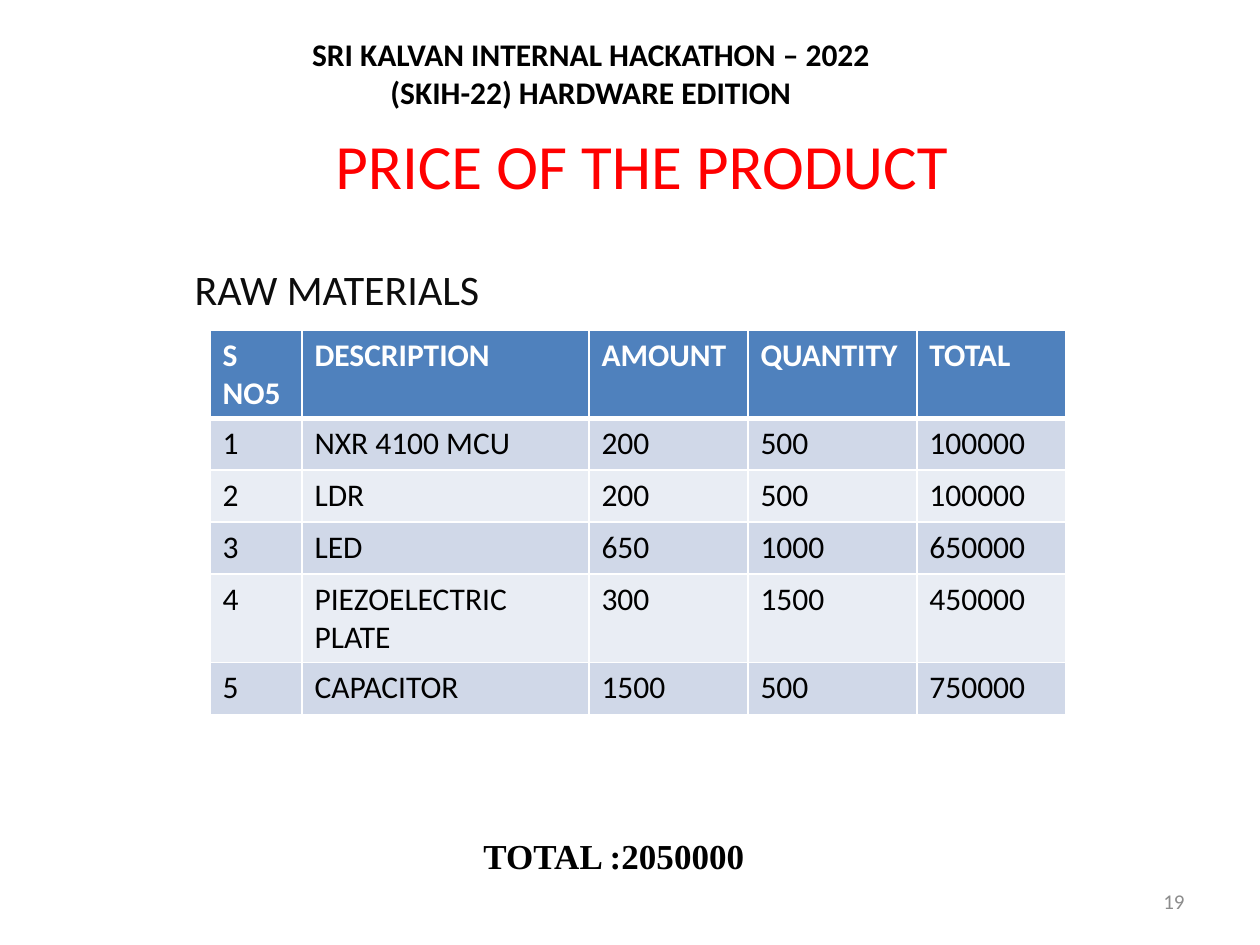
from lxml.etree import SubElement
from pptx import Presentation
from pptx.dml.color import RGBColor
from pptx.enum.text import MSO_ANCHOR, PP_ALIGN
from pptx.oxml.ns import qn
from pptx.util import Emu, Pt

EMU_PER_PX = 914400 / 126
COLORS = {
    "black": "000000",
    "white": "FFFFFF",
    "title": "FF0000",
    "subtitle": "0D0D0D",
    "number": "8C8C8C",
    "header": "4F81BD",
    "odd_row": "D0D8E8",
    "even_row": "E9EDF4",
}
COLUMN_WIDTHS = [92, 287, 159, 169, 149]
HEADER_HEIGHT, ROW_HEIGHT = 23, 52
PRICES = [
    ["S NO5", "DESCRIPTION", "AMOUNT", "QUANTITY", "TOTAL"],
    ["1", "NXR 4100 MCU", "200", "500", "100000"],
    ["2", "LDR", "200", "500", "100000"],
    ["3", "LED", "650", "1000", "650000"],
    ["4", "PIEZOELECTRIC PLATE", "300", "1500", "450000"],
    ["5", "CAPACITOR", "1500", "500", "750000"],
]


def px(length):
    return Emu(round(length * EMU_PER_PX))


def write_text(frame, text, size=18, color="black", bold=False,
               font="Calibri", align=PP_ALIGN.LEFT):
    paragraph = frame.paragraphs[0]
    paragraph.alignment = align
    run = paragraph.add_run()
    run.text = text
    run.font.size = Pt(size)
    run.font.name = font
    run.font.bold = bold
    run.font.color.rgb = RGBColor.from_string(COLORS[color])


def set_borders(cell, **widths):
    """Draw white borders; widths are in points, keyed L, R, T and B."""
    properties = cell._tc.get_or_add_tcPr()
    for index, side in enumerate("LRTB"):
        line = SubElement(properties, qn(f"a:ln{side}"),
                          w=str(Pt(widths.get(side, 1))))
        fill = SubElement(line, qn("a:solidFill"))
        SubElement(fill, qn("a:srgbClr"), val=COLORS["white"])
        properties.insert(index, line)


class SlideBuilder:
    def __init__(self, slide):
        self.slide = slide

    def text(self, left, top, width, height, text,
             anchor=MSO_ANCHOR.TOP, **style):
        shape = self.slide.shapes.add_textbox(
            px(left), px(top), px(width), px(height))
        shape.text_frame.word_wrap = True
        shape.text_frame.vertical_anchor = anchor
        write_text(shape.text_frame, text, **style)

    def table(self, left, top, rows, widths):
        heights = [HEADER_HEIGHT] + [ROW_HEIGHT] * (len(rows) - 1)
        table = self.slide.shapes.add_table(
            len(rows), len(widths), px(left), px(top),
            px(sum(widths)), px(sum(heights))).table
        for column, width in zip(table.columns, widths):
            column.width = px(width)
        for index, values in enumerate(rows):
            table.rows[index].height = px(heights[index])
            is_header = index == 0
            band = "header" if is_header else "odd_row" if index % 2 else "even_row"
            for cell, value in zip(table.rows[index].cells, values):
                write_text(cell.text_frame, value, bold=is_header,
                           color="white" if is_header else "black")
                cell.fill.solid()
                cell.fill.fore_color.rgb = RGBColor.from_string(COLORS[band])
                set_borders(cell, T=3 if index == 1 else 1,
                            B=3 if is_header else 1)


def main():
    presentation = Presentation()
    presentation.slide_width = px(1260)
    presentation.slide_height = px(945)
    builder = SlideBuilder(
        presentation.slides.add_slide(presentation.slide_layouts[6]))

    builder.text(276, 29, 630, 89,
                 "SRI KALVAN INTERNAL HACKATHON – 2022 (SKIH-22) HARDWARE EDITION",
                 bold=True, align=PP_ALIGN.CENTER)
    builder.text(903, 876, 294, 50, "19", anchor=MSO_ANCHOR.MIDDLE,
                 size=12, color="number", align=PP_ALIGN.RIGHT)
    builder.table(210, 330, PRICES, COLUMN_WIDTHS)
    builder.text(44, 257, 586, 63, "RAW MATERIALS", size=24,
                 color="subtitle", align=PP_ALIGN.CENTER)
    builder.text(471, 828, 397, 55, "TOTAL :2050000", size=20, bold=True,
                 font="Times New Roman")
    builder.text(323, 120, 799, 89, "PRICE OF THE PRODUCT", size=36,
                 color="title")
    presentation.save("out.pptx")


if __name__ == "__main__":
    main()
